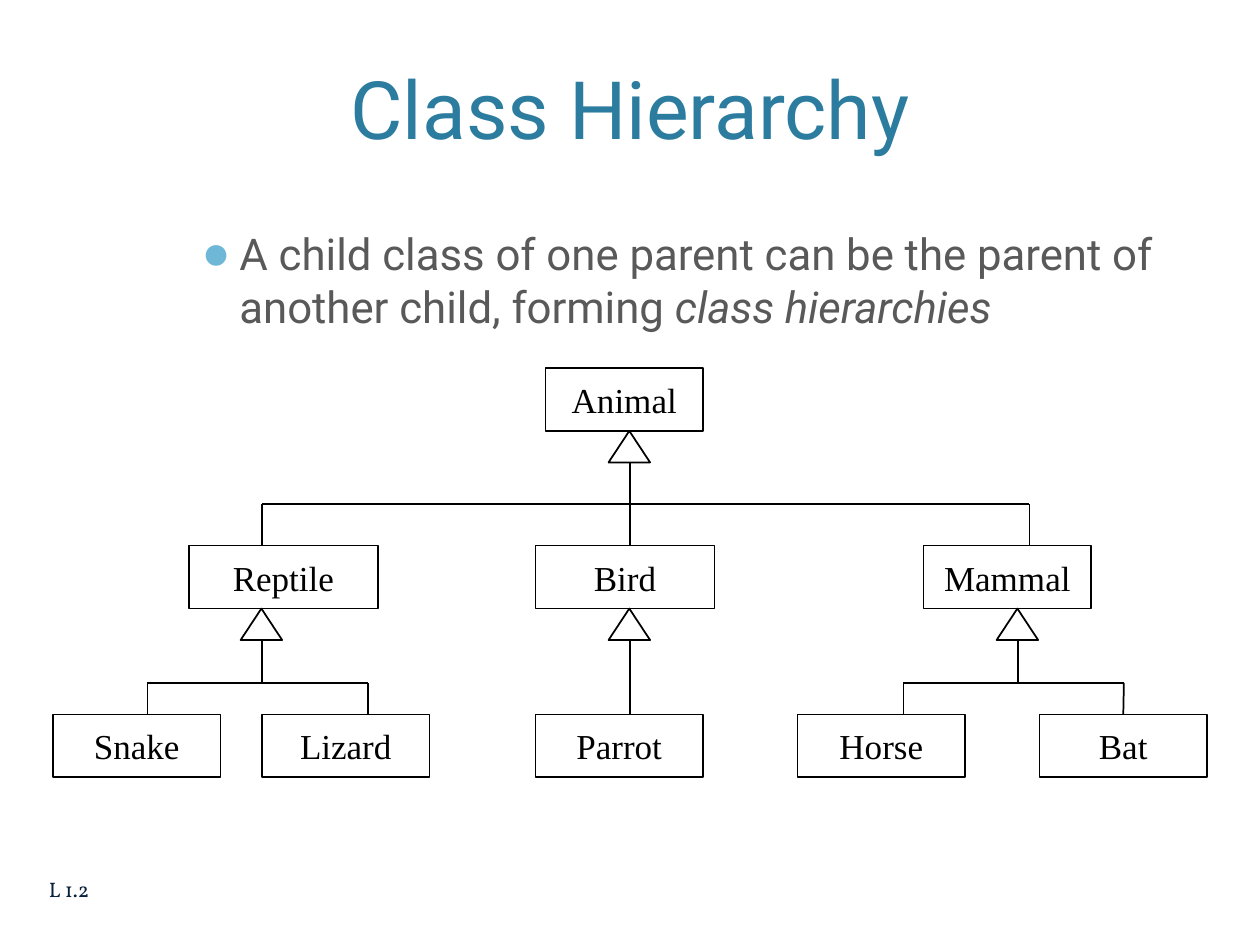
from dataclasses import dataclass

from lxml.etree import SubElement
from pptx import Presentation
from pptx.dml.color import RGBColor
from pptx.enum.shapes import MSO_CONNECTOR, MSO_SHAPE
from pptx.enum.text import MSO_ANCHOR, MSO_AUTO_SIZE, PP_ALIGN
from pptx.oxml.ns import qn
from pptx.util import Inches, Pt


@dataclass(frozen=True)
class Theme:
    """Colours, fonts and type sizes of the slide."""
    title: str = "2C7C9F"
    body: str = "595959"
    bullet: str = "6FB7D7"
    footer: str = "09213B"
    ink: str = "000000"
    paper: str = "FFFFFF"
    sans: str = "Roboto"
    serif: str = "Times New Roman"
    footer_font: str = "Vollkorn"
    title_size: int = 46
    body_size: int = 25
    class_size: int = 20
    footer_size: int = 12


THEME = Theme()
BOX_HEIGHT = 0.5
LEVEL_TOPS = (2.92, 4.33, 5.67)
CLASSES = (
    ("Animal", 0, 4.33, 1.25),
    ("Reptile", 1, 1.5, 1.5),
    ("Bird", 1, 4.25, 1.42),
    ("Mammal", 1, 7.33, 1.33),
    ("Snake", 2, 0.42, 1.33),
    ("Lizard", 2, 2.08, 1.33),
    ("Parrot", 2, 4.25, 1.33),
    ("Horse", 2, 6.33, 1.33),
    ("Bat", 2, 8.25, 1.33),
)


def place(shape, left, top, width, height):
    """Move and size a shape, in inches."""
    shape.left, shape.top = Inches(left), Inches(top)
    shape.width, shape.height = Inches(width), Inches(height)


def style_font(para, name, size, color):
    """Set the font of a whole paragraph."""
    para.font.name = name
    para.font.size = Pt(size)
    para.font.color.rgb = RGBColor.from_string(color)


def style_line(line):
    """Draw a line in the diagram's ink."""
    line.color.rgb = RGBColor.from_string(THEME.ink)
    line.width = Pt(1)


def add_bullet(para):
    """Give a paragraph a coloured round bullet with a hanging indent."""
    properties = para._p.get_or_add_pPr()
    properties.set("marL", str(Inches(0.3)))
    properties.set("indent", str(-Inches(0.3)))
    color = SubElement(properties, qn("a:buClr"))
    SubElement(color, qn("a:srgbClr"), val=THEME.bullet)
    SubElement(properties, qn("a:buSzPct"), val="110000")
    SubElement(properties, qn("a:buChar"), char="●")


def add_title(page, text):
    """Fill the title placeholder."""
    title = page.shapes.title
    place(title, 0.6, 0.12, 8.8, 1.46)
    frame = title.text_frame
    frame.text = text
    frame.auto_size = MSO_AUTO_SIZE.NONE
    frame.vertical_anchor = MSO_ANCHOR.MIDDLE
    para = frame.paragraphs[0]
    para.alignment = PP_ALIGN.CENTER
    style_font(para, THEME.sans, THEME.title_size, THEME.title)


def add_body(page, text, term):
    """Fill the body placeholder with one bullet that ends in an italic term."""
    body = page.placeholders[1]
    place(body, 1.5, 1.75, 8, 0.89)
    body.text_frame.auto_size = MSO_AUTO_SIZE.NONE
    para = body.text_frame.paragraphs[0]
    para.space_before = Pt(0)
    add_bullet(para)
    style_font(para, THEME.sans, THEME.body_size, THEME.body)
    para.add_run().text = text
    span = para.add_run()
    span.text = term
    span.font.italic = True


def add_footer(page, text):
    """Write the lecture number at the lower left."""
    box = page.shapes.add_textbox(Inches(0.29), Inches(6.86), Inches(5.29), Inches(0.4))
    frame = box.text_frame
    frame.text = text
    frame.word_wrap = True
    frame.vertical_anchor = MSO_ANCHOR.MIDDLE
    style_font(frame.paragraphs[0], THEME.footer_font, THEME.footer_size, THEME.footer)


def add_outline(shapes, preset, left, top, width, height):
    """Add a white shape with a thin outline."""
    shape = shapes.add_shape(preset, Inches(left), Inches(top), Inches(width), Inches(height))
    shape.shadow.inherit = False
    shape.fill.solid()
    shape.fill.fore_color.rgb = RGBColor.from_string(THEME.paper)
    style_line(shape.line)
    return shape


def add_class(page, name, level, left, width):
    """Add a class box on its level of the hierarchy."""
    box = add_outline(page.shapes, MSO_SHAPE.RECTANGLE, left, LEVEL_TOPS[level], width, BOX_HEIGHT)
    frame = box.text_frame
    frame.text = name
    frame.word_wrap = False
    frame.vertical_anchor = MSO_ANCHOR.MIDDLE
    para = frame.paragraphs[0]
    para.alignment = PP_ALIGN.CENTER
    style_font(para, THEME.serif, THEME.class_size, THEME.ink)
    return box


def add_line(shapes, start, end):
    """Add a straight line between two points."""
    line = shapes.add_connector(MSO_CONNECTOR.STRAIGHT, *map(Inches, start + end))
    style_line(line.line)
    SubElement(line._element.spPr, qn("a:effectLst"))
    return line


def add_inheritance(page, x, level, foot):
    """Add a hollow-headed arrow from foot up to the parent level."""
    group = page.shapes.add_group_shape()
    tip = LEVEL_TOPS[level] + BOX_HEIGHT
    stem = add_line(group.shapes, (x, foot), (x, tip))
    SubElement(stem.line._get_or_add_ln(), qn("a:tailEnd"), type="triangle")
    add_outline(group.shapes, MSO_SHAPE.ISOSCELES_TRIANGLE, x - 0.17, tip, 0.33, 0.25)


def add_branches(page, bar, level, drops):
    """Add a crossbar and its drops down to the child level."""
    add_line(page.shapes, (drops[0], bar), (drops[-1], bar))
    return [add_line(page.shapes, (x, bar), (x, LEVEL_TOPS[level])) for x in drops]


def main():
    """Build the class hierarchy slide."""
    deck = Presentation()
    deck.slide_width, deck.slide_height = Inches(10), Inches(7.5)
    page = deck.slides.add_slide(deck.slide_layouts[1])
    add_title(page, "Class Hierarchy")
    add_body(page, "A child class of one parent can be the parent of another child, forming ",
             "class hierarchies")
    add_footer(page, "L 1.2")
    boxes = {name: add_class(page, name, *spot) for name, *spot in CLASSES}
    add_branches(page, 4, 1, (2.08, 5, 8.17))
    add_branches(page, 5.42, 2, (1.17, 2.92))
    mammal_drops = add_branches(page, 5.42, 2, (7.17, 8.92))
    mammal_drops[-1].end_connect(boxes["Bat"], 0)
    for x, level, foot in ((5, 0, 4.25), (5, 1, 5.67), (8.08, 1, 5.42), (2.08, 1, 5.42)):
        add_inheritance(page, x, level, foot)
    deck.save("out.pptx")


if __name__ == "__main__":
    main()
